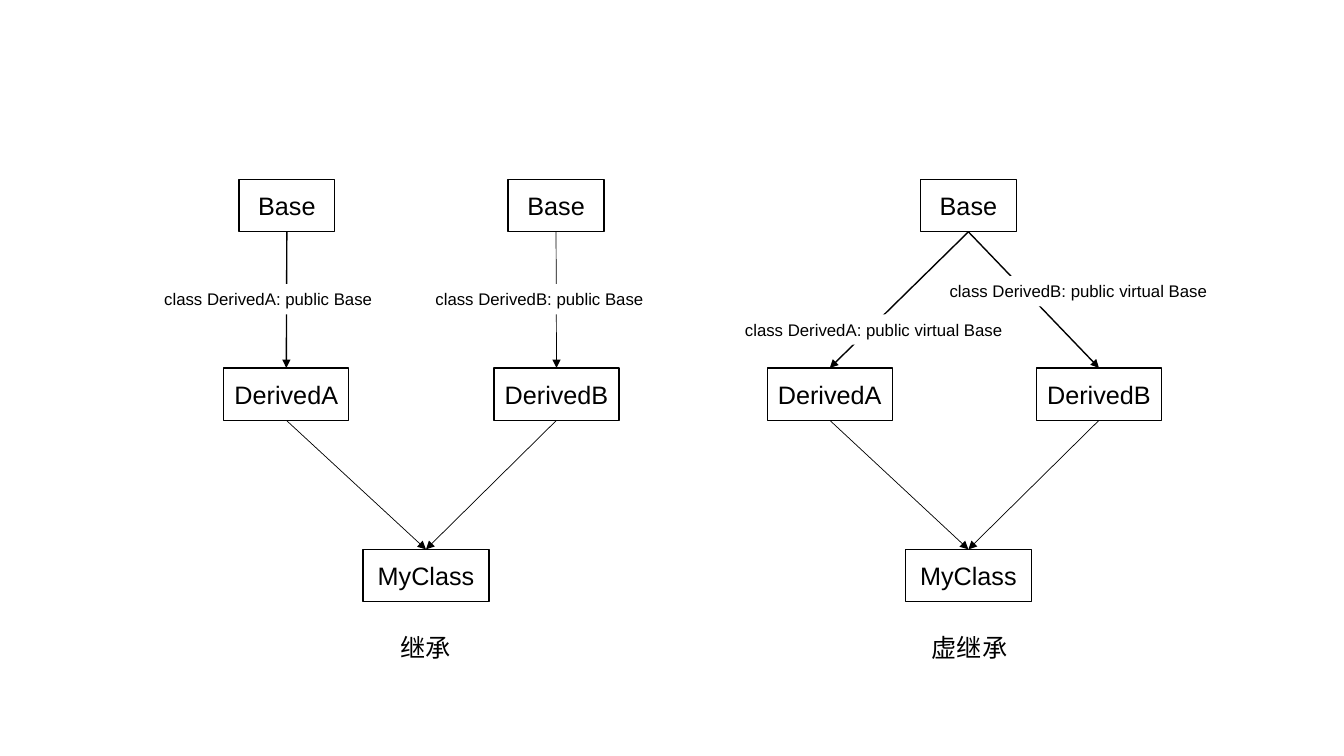
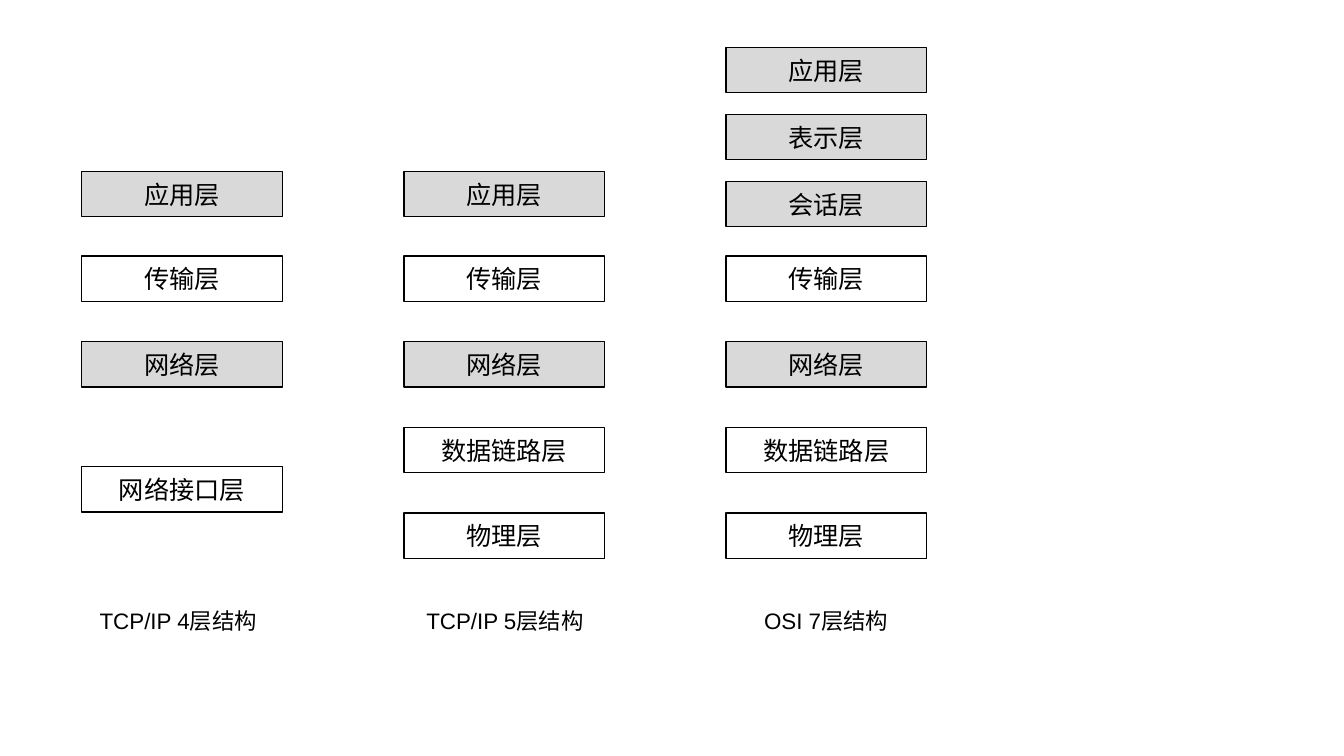
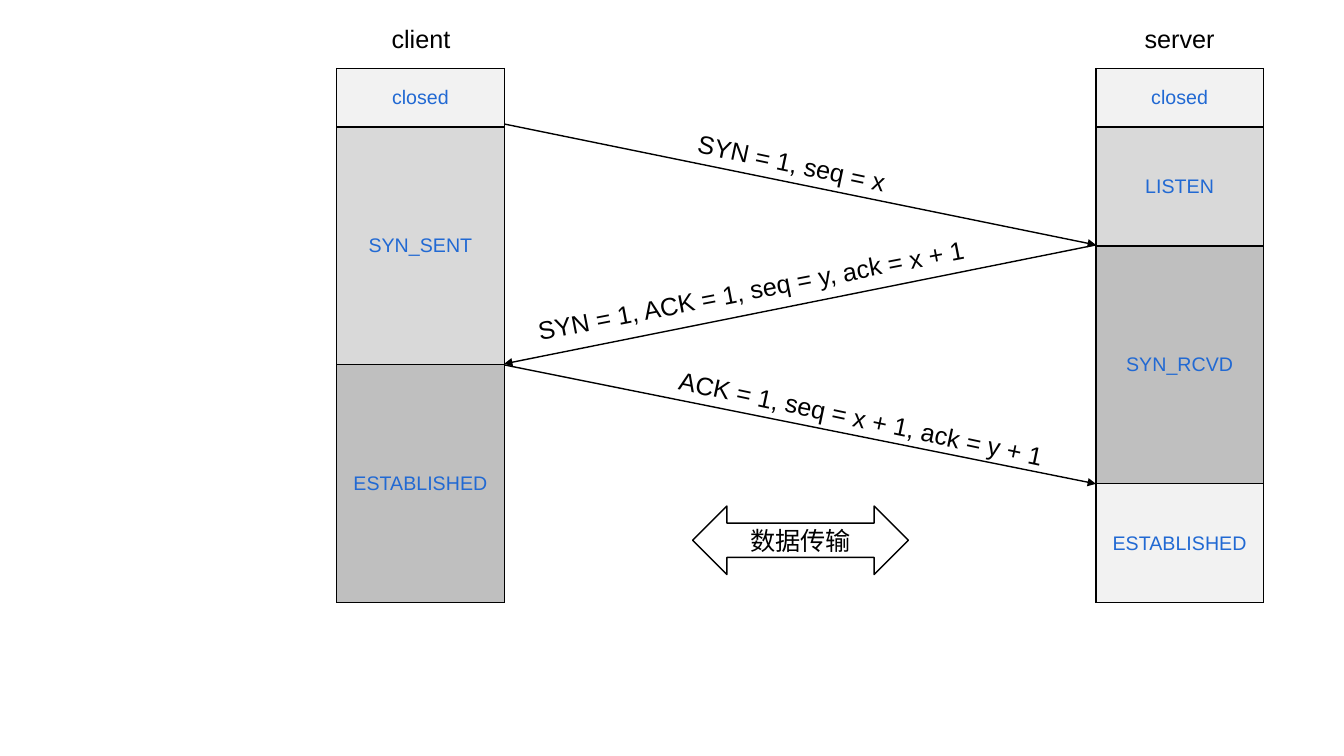
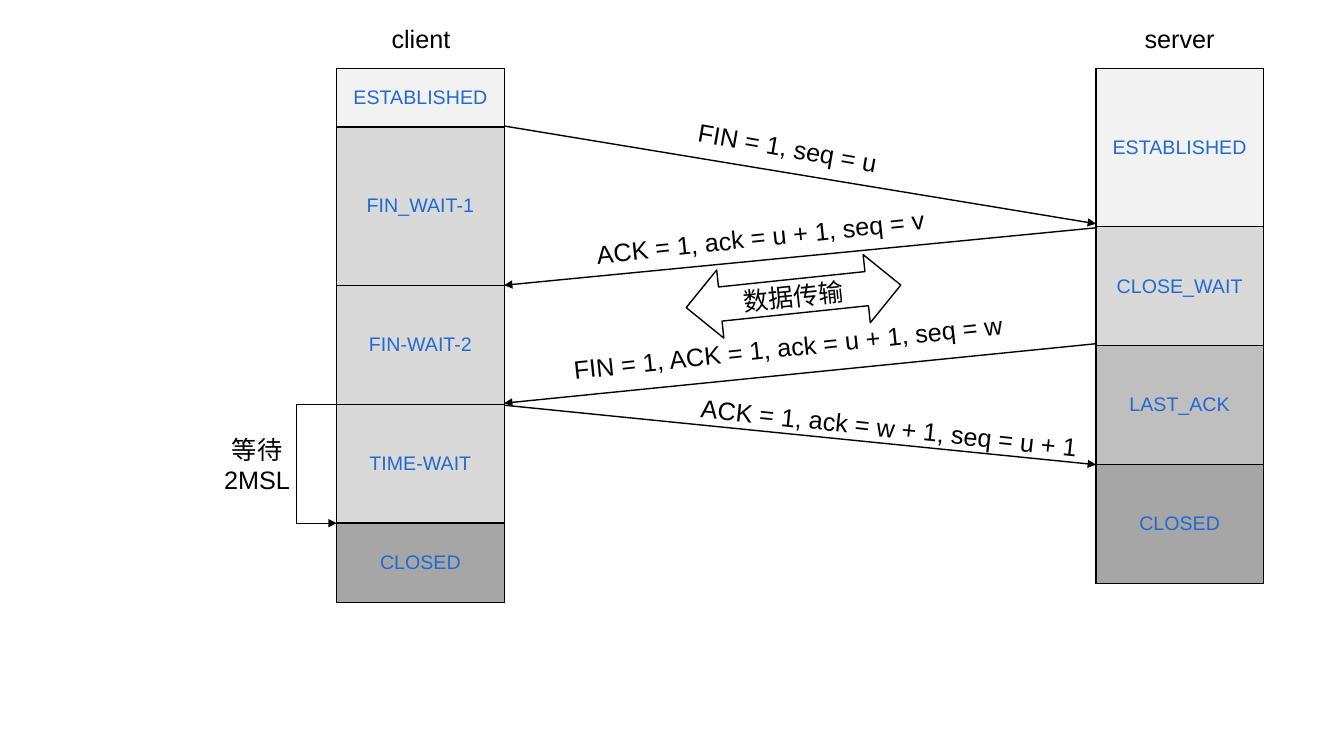
from itertools import accumulate

from lxml.etree import SubElement
from pptx import Presentation
from pptx.dml.color import RGBColor
from pptx.enum.shapes import MSO_CONNECTOR, MSO_SHAPE
from pptx.enum.text import MSO_ANCHOR, PP_ALIGN
from pptx.oxml.ns import qn
from pptx.util import Inches, Pt

# Shared style
FONT = "Arial"
BLACK = RGBColor(0x00, 0x00, 0x00)
WHITE = RGBColor(0xFF, 0xFF, 0xFF)
BLUE = RGBColor(0x21, 0x69, 0xD3)
PALE = RGBColor(0xF2, 0xF2, 0xF2)
LIGHT = RGBColor(0xD9, 0xD9, 0xD9)
GREY = RGBColor(0xBF, 0xBF, 0xBF)
DARK = RGBColor(0xA6, 0xA6, 0xA6)
LEFT, MID = PP_ALIGN.LEFT, PP_ALIGN.CENTER

# Slide 1: boxes (key, text, left, top, width), links (from, to, width),
# labels (text, left, top, width)
BOX_H = 0.52
BOXES = [
    ("base1", "Base", 2.37, 1.78, 0.95),
    ("base2", "Base", 5.04, 1.78, 0.95),
    ("a1", "DerivedA", 2.22, 3.65, 1.24),
    ("b1", "DerivedB", 4.9, 3.65, 1.24),
    ("my1", "MyClass", 3.6, 5.45, 1.25),
    ("base3", "Base", 9.13, 1.78, 0.95),
    ("a2", "DerivedA", 7.61, 3.65, 1.24),
    ("b2", "DerivedB", 10.28, 3.65, 1.24),
    ("my2", "MyClass", 8.98, 5.45, 1.25),
]
LINKS = [
    ("base1", "a1", 1), ("base2", "b1", 0.5),
    ("a1", "my1", 0.5), ("b1", "my1", 0.5),
    ("base3", "a2", 1), ("base3", "b2", 1),
    ("a2", "my2", 0.5), ("b2", "my2", 0.5),
]
LABELS = [
    ("class DerivedA: public Base", 1.53, 2.82, 2.61),
    ("class DerivedB: public Base", 4.22, 2.82, 2.61),
    ("class DerivedA: public virtual Base", 7.29, 3.12, 2.87),
    ("class DerivedB: public virtual Base", 9.32, 2.74, 3.02),
]
NAMES = [("继承", 3.26), ("虚继承", 8.65)]

# Slide 2: (caption, caption left, layers as (text, top, fill))
STEP = 0.85
LOW = [("传输层", 2.54, None), ("网络层", 2.54 + STEP, LIGHT)]
LINK = [("数据链路层", 2.54 + 2 * STEP, None),
        ("物理层", 2.54 + 3 * STEP, None)]
APP = [("应用层", 1.7, LIGHT)]
TOP = [(text, 0.47 + 0.665 * i, LIGHT)
       for i, text in enumerate(["应用层", "表示层", "会话层"])]
STACKS = [
    ("TCP/IP 4层结构", 0.89, APP + LOW + [("网络接口层", 4.63, None)]),
    ("TCP/IP 5层结构", 4.13, APP + LOW + LINK),
    ("OSI 7层结构", 7.48, TOP + LOW + LINK),
]

# Slides 3 and 4: states (text, height, fill), arrows (to right, y1, y2),
# notes (text, left, top, width, turn), swap (left, top, turn)
TAB_W, TAB_Y = 1.66, 0.68
HOSTS = [3.34, 10.87]
HEADS = [("client", 3.74, 0.87), ("server", 11.13, 1.14)]
OPEN = {
    "states": [
        [("closed", 0.58, PALE), ("SYN_SENT", 2.36, LIGHT),
         ("ESTABLISHED", 2.36, GREY)],
        [("closed", 0.58, PALE), ("LISTEN", 1.18, LIGHT),
         ("SYN_RCVD", 2.36, GREY), ("ESTABLISHED", 1.18, PALE)],
    ],
    "arrows": [(True, 1.23, 2.43), (False, 2.43, 3.61), (True, 3.62, 4.8)],
    "notes": [
        ("SYN = 1, seq = x", 6.8, 1.5, 2.89, 12),
        ("SYN = 1, ACK = 1, seq = y, ack = x + 1", 5.2, 2.67, 4.51, 349),
        ("ACK = 1, seq = x + 1, ack = y + 1", 6.6, 3.98, 4.16, 12),
    ],
    "swap": (6.87, 5.02, 0),
}
CLOSE = {
    "states": [
        [("ESTABLISHED", 0.58, PALE), ("FIN_WAIT-1", 1.57, LIGHT),
         ("FIN-WAIT-2", 1.18, LIGHT), ("TIME-WAIT", 1.18, LIGHT),
         ("CLOSED", 0.79, DARK)],
        [("ESTABLISHED", 1.57, PALE), ("CLOSE_WAIT", 1.18, LIGHT),
         ("LAST_ACK", 1.18, GREY), ("CLOSED", 1.18, DARK)],
    ],
    "arrows": [(True, 1.25, 2.22), (False, 2.26, 2.83),
               (False, 3.41, 4.0), (True, 4.02, 4.61)],
    "notes": [
        ("FIN = 1, seq = u", 6.81, 1.34, 2.89, 10),
        ("ACK = 1, ack = u + 1, seq = v", 5.81, 2.15, 3.48, 354),
        ("FIN = 1, ACK = 1, ack = u + 1, seq = w", 5.58, 3.23, 4.69, 354),
        ("ACK = 1, ack = w + 1, seq = u + 1", 6.83, 4.05, 4.15, 6, 0.71),
    ],
    "swap": (6.8, 2.6, 354),
}


def write(frame, lines, size=18, color=BLACK, align=MID):
    for i, line in enumerate(lines):
        para = frame.add_paragraph() if i else frame.paragraphs[0]
        para.alignment = align
        run = para.add_run()
        run.text = line
        run.font.name = FONT
        run.font.size = Pt(size)
        run.font.color.rgb = color


def paint(fill, color):
    if color is None:
        fill.background()
    else:
        fill.solid()
        fill.fore_color.rgb = color


def add_box(slide, text, x, y, w, h, fill=None, kind=MSO_SHAPE.RECTANGLE):
    box = slide.shapes.add_shape(kind, *map(Inches, (x, y, w, h)))
    box.shadow.inherit = False
    paint(box.fill, fill)
    box.line.color.rgb = BLACK
    box.line.width = Pt(1)
    frame = box.text_frame
    frame.word_wrap = False
    frame.vertical_anchor = MSO_ANCHOR.MIDDLE
    write(frame, [text])
    return box


def add_text(slide, lines, x, y, w, h=0.4, size=18, align=MID, fill=None,
             turn=0):
    box = slide.shapes.add_textbox(*map(Inches, (x, y, w, h)))
    box.rotation = turn
    paint(box.fill, fill)
    box.text_frame.word_wrap = True
    write(box.text_frame, lines, size, align=align)


def add_arrow(slide, x1, y1, x2, y2, width=1, kind=MSO_CONNECTOR.STRAIGHT):
    line = slide.shapes.add_connector(kind, *map(Inches, (x1, y1, x2, y2)))
    line.line.color.rgb = BLACK
    line.line.width = Pt(width)
    props = line._element.spPr
    SubElement(props.find(qn("a:ln")), qn("a:tailEnd"), type="triangle")
    SubElement(props, qn("a:effectLst"))
    return line


def add_table(slide, states, x):
    total = sum(state[1] for state in states)
    table = slide.shapes.add_table(
        len(states), 1, *map(Inches, (x, TAB_Y, TAB_W, total))).table
    table.first_row = table.horz_banding = False
    for row, (text, high, fill) in zip(table.rows, states):
        row.height = Inches(high)
        cell = row.cells[0]
        cell.vertical_anchor = MSO_ANCHOR.MIDDLE
        write(cell.text_frame, [text], 14, BLUE)
        # Borders come before the fill in the cell properties
        props = cell._tc.get_or_add_tcPr()
        for side in ("lnL", "lnR", "lnT", "lnB"):
            edge = SubElement(props, qn("a:" + side), w=str(Pt(1)))
            ink = SubElement(edge, qn("a:solidFill"))
            SubElement(ink, qn("a:srgbClr"), val=str(BLACK))
        paint(cell.fill, fill)


def draw_classes(slide):
    boxes = {key: add_box(slide, text, x, y, w, BOX_H)
             for key, text, x, y, w in BOXES}
    for start, end, width in LINKS:
        line = add_arrow(slide, 0, 0, 1, 1, width)
        line.begin_connect(boxes[start], 2)
        line.end_connect(boxes[end], 0)
    for text, x, y, w in LABELS:
        add_text(slide, [text], x, y, w, 0.3, 12, LEFT, WHITE)
    for text, x in NAMES:
        add_text(slide, [text], x, 6.22, 1.93, fill=WHITE)


def draw_layers(slide):
    for i, (name, x, layers) in enumerate(STACKS):
        for text, y, fill in layers:
            add_box(slide, text, 0.81 + 3.195 * i, y, 1.99, 0.45, fill)
        add_text(slide, [name], x, 5.97, 1.9, 0.37, 16, LEFT)


def draw_talk(slide, talk):
    for x, states in zip(HOSTS, talk["states"]):
        add_table(slide, states, x)
    for text, x, w in HEADS:
        add_text(slide, [text], x, 0.18, w)
    near, far = HOSTS[0] + TAB_W, HOSTS[1]
    for right, y1, y2 in talk["arrows"]:
        x1, x2 = (near, far) if right else (far, near)
        add_arrow(slide, x1, y1, x2, y2)
    for text, x, y, w, turn, *high in talk["notes"]:
        add_text(slide, [text], x, y, w, *high, align=LEFT, turn=turn)
    x, y, turn = talk["swap"]
    swap = add_box(slide, "数据传输", x, y, 2.14, 0.68,
                   kind=MSO_SHAPE.LEFT_RIGHT_ARROW)
    swap.rotation = turn


def draw_wait(slide):
    # The bracket spans the TIME-WAIT row
    ends = list(accumulate([s[1] for s in CLOSE["states"][0]], initial=TAB_Y))
    x, thin, reach = HOSTS[0], 0.01, 0.42
    line = add_arrow(slide, x + thin, ends[3], x, ends[4], 0.5,
                     MSO_CONNECTOR.ELBOW)
    geom = line._element.spPr.find(qn("a:prstGeom"))
    bend = geom.find(qn("a:avLst"))
    if bend is None:
        bend = SubElement(geom, qn("a:avLst"))
    SubElement(bend, qn("a:gd"), name="adj1",
               fmla=f"val {round(reach / thin * 100000)}")
    add_text(slide, ["等待", "2MSL"], 2.12, 4.26, 0.86, 0.71)


def main():
    deck = Presentation()
    deck.slide_width, deck.slide_height = Inches(13.33), Inches(7.5)
    blank = deck.slide_layouts[6]
    pages = [deck.slides.add_slide(blank) for _ in range(4)]
    draw_classes(pages[0])
    draw_layers(pages[1])
    draw_talk(pages[2], OPEN)
    draw_talk(pages[3], CLOSE)
    draw_wait(pages[3])
    deck.save("out.pptx")


if __name__ == "__main__":
    main()
